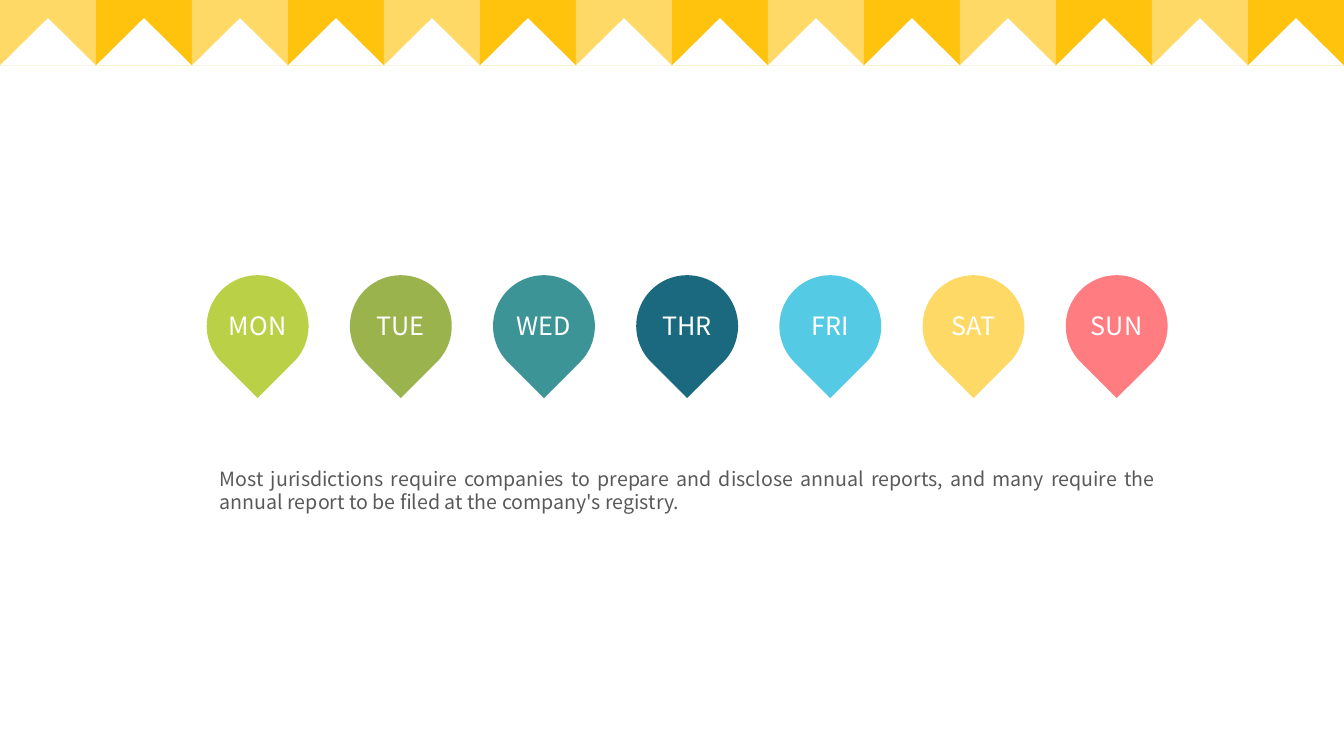
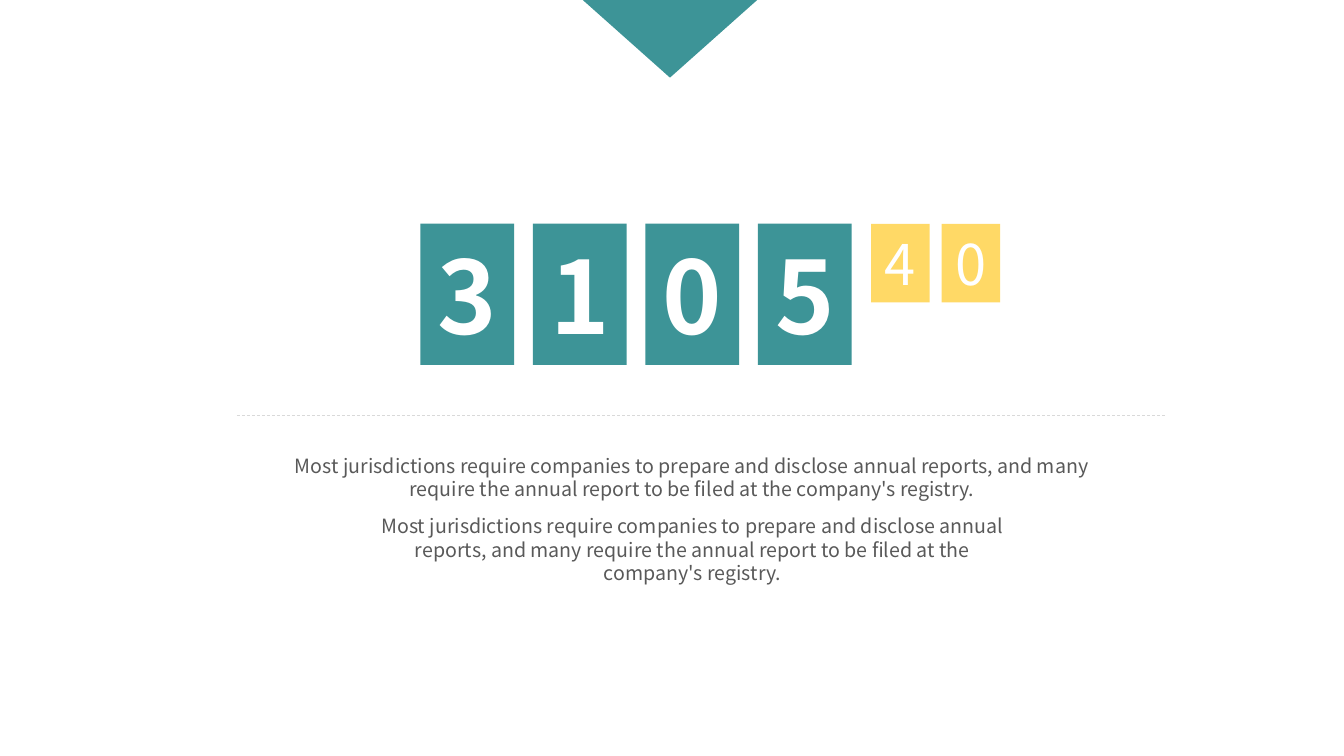
from lxml import etree
from pptx import Presentation
from pptx.dml.color import RGBColor
from pptx.enum.dml import MSO_LINE
from pptx.enum.shapes import MSO_CONNECTOR, MSO_SHAPE as Shape
from pptx.enum.text import MSO_ANCHOR as Anchor, MSO_AUTO_SIZE as Auto, PP_ALIGN as Align
from pptx.oxml.ns import qn
from pptx.util import Inches, Pt

WIDE, HIGH = 13.33, 7.5
FONT = "Noto Sans CJK SC"
WHITE, GRAY, RULE = "FFFFFF", "595959", "D9D9D9"
TEAL, SAND, GOLD = "3D9497", "FFD966", "FFC30D"
BODY = ("Most jurisdictions require companies to prepare and disclose annual reports, "
        "and many require the annual report to be filed at the company's registry.")
DAYS = [("MON", "BAD147"), ("TUE", "9AB34D"), ("WED", TEAL), ("THR", "1A697E"),
        ("FRI", "55CAE5"), ("SAT", SAND), ("SUN", "FF7C80")]


def color(code):
    return RGBColor.from_string(code)


def inches(box):
    return [Inches(size) for size in box]


def write(frame, text, size, tint=WHITE, align=Align.CENTER, bold=False):
    para = frame.paragraphs[0]
    para.text = text
    para.alignment = align
    looks = {"name": FONT, "size": Pt(size), "bold": bold}
    for key, value in looks.items():
        setattr(para.font, key, value)
    para.font.color.rgb = color(tint)


def add_form(shapes, kind, box, fill, turn=0):
    form = shapes.add_shape(kind, *inches(box))
    form.shadow.inherit = False
    form.fill.solid()
    form.fill.fore_color.rgb = color(fill)
    form.line.fill.background()
    form.rotation = turn
    return form


def add_text(slide, box, text, size, tint, align=Align.CENTER, wrap=True):
    frame = slide.shapes.add_textbox(*inches(box)).text_frame
    frame.word_wrap = wrap
    frame.auto_size = Auto.SHAPE_TO_FIT_TEXT
    write(frame, text, size, tint, align)


def add_tiles(slide, digits, left, step, size, fill, points, bold):
    for i, digit in enumerate(digits):
        tile = add_form(slide.shapes, Shape.RECTANGLE, (left + i * step, 2.22, *size), fill)
        tile.text_frame.vertical_anchor = Anchor.MIDDLE
        write(tile.text_frame, digit, points, bold=bold)


def add_rule(slide, left, right, top):
    rule = slide.shapes.add_connector(
        MSO_CONNECTOR.STRAIGHT, *inches((left, top, right, top)))
    rule.line.color.rgb = color(RULE)
    rule.line.width = Pt(0.5)
    rule.line.dash_style = MSO_LINE.DASH
    etree.SubElement(rule._element.spPr, qn("a:effectLst"))


def add_band(slide, count=14):
    step = WIDE / count
    flags = slide.shapes.add_group_shape().shapes
    peaks = slide.shapes.add_group_shape().shapes
    for i in range(count):
        add_form(flags, Shape.RECTANGLE, (i * step, 0, step, 0.65), (SAND, GOLD)[i % 2])
        add_form(peaks, Shape.ISOSCELES_TRIANGLE, (i * step, 0.18, step, 0.47), WHITE)


def week_slide(slide):
    add_band(slide)
    # Day pins with their labels
    for i, (day, fill) in enumerate(DAYS):
        left = 2.05 + i * 1.42
        add_form(slide.shapes, Shape.TEAR, (left, 2.73, 1.01, 1.01), fill, 135)
        add_text(slide, (left + 0.08, 3.03, 0.85, 0.4), day, 18, WHITE, wrap=False)
    add_text(slide, (2.08, 4.58, 9.48, 0.57), BODY, 14, GRAY, Align.JUSTIFY)


def count_slide(slide):
    add_form(slide.shapes, Shape.ISOSCELES_TRIANGLE, (5.78, 0, 1.73, 0.77), TEAL, 180)
    # Large and small digits
    add_tiles(slide, "3105", 4.17, 1.116, (0.93, 1.4), TEAL, 72, True)
    add_tiles(slide, "40", 8.64, 0.7, (0.58, 0.78), SAND, 40, False)
    # Rule and captions
    add_rule(slide, 2.35, 11.57, 4.12)
    for box in ((2.76, 4.45, 8.21, 0.57), (3.58, 5.05, 6.58, 0.81)):
        add_text(slide, box, BODY, 14, GRAY)


def main():
    deck = Presentation()
    deck.slide_width, deck.slide_height = inches((WIDE, HIGH))
    for build in (week_slide, count_slide):
        build(deck.slides.add_slide(deck.slide_layouts[6]))
    deck.save("out.pptx")


if __name__ == "__main__":
    main()
